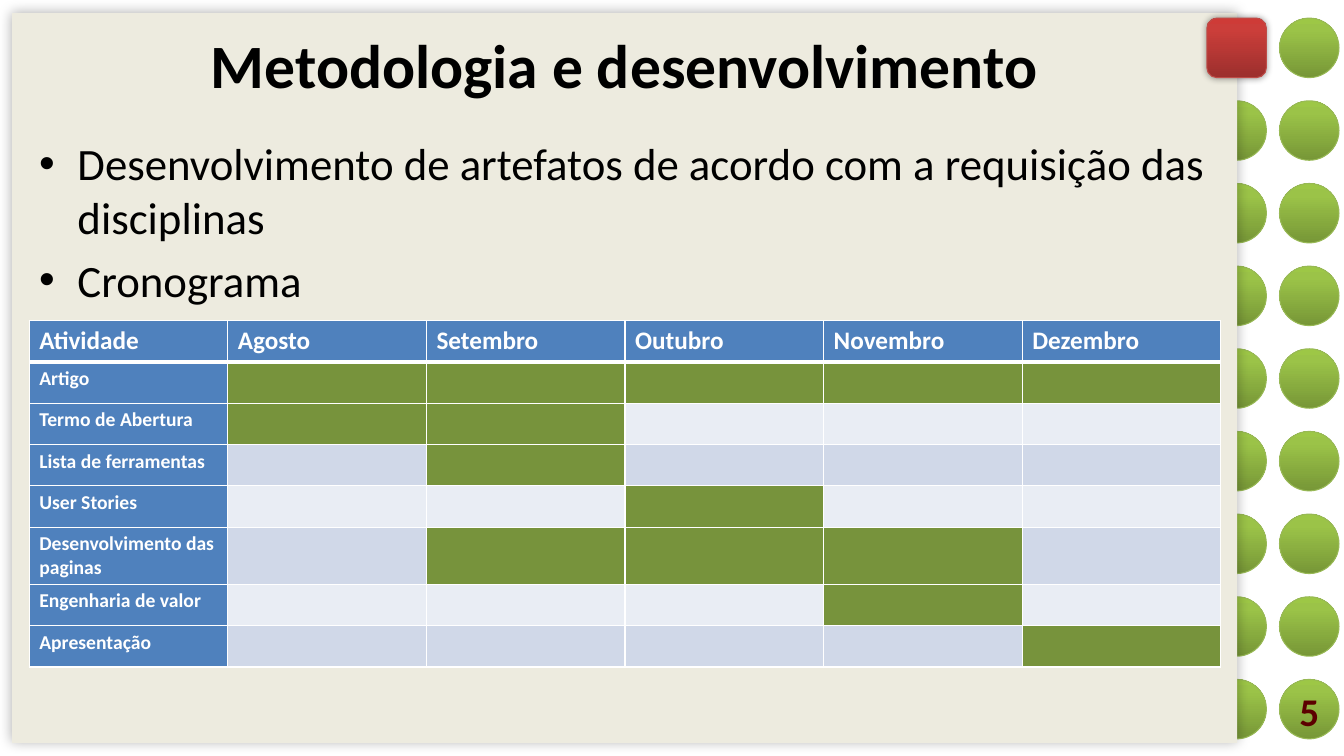
"""Build the methodology slide with its activity schedule."""
from dataclasses import dataclass
from itertools import product
from typing import Optional

from lxml.etree import SubElement
from pptx import Presentation
from pptx.dml.color import RGBColor
from pptx.enum.shapes import MSO_SHAPE as Preset
from pptx.enum.text import MSO_ANCHOR as Anchor, PP_ALIGN as Align
from pptx.oxml.ns import qn
from pptx.util import Emu, Pt

PX = 9144


@dataclass(frozen=True)
class Theme:
    font: str = "Calibri"
    black: str = "000000"
    white: str = "FFFFFF"
    panel: str = "EDEBDF"
    number: str = "5C0000"
    header: str = "4F81BD"
    active: str = "77933C"
    bands: tuple[str, str] = ("D0D8E8", "E9EDF4")
    green: tuple[str, str, str] = ("779737", "9BC348", "9DC746")
    green_line: str = "98B955"
    red: tuple[str, str, str] = ("9C2F2D", "CB3E3A", "CE3B37")
    red_line: str = "BF4C48"
    title_size: int = 44
    body_size: int = 32
    number_size: int = 28
    head_size: int = 18
    label_size: int = 14


@dataclass(frozen=True)
class Box:
    left: int
    top: int
    width: int
    height: int

    def emu(self) -> tuple[Emu, ...]:
        return tuple(Emu(n * PX) for n in (self.left, self.top, self.width, self.height))


@dataclass(frozen=True)
class Shadow:
    alpha: int
    blur: int


@dataclass(frozen=True)
class Ornament:
    preset: Preset
    box: Box
    colors: tuple[str, ...]
    line: Optional[str] = None
    shadow: Optional[Shadow] = None


@dataclass(frozen=True)
class Label:
    box: Box
    lines: tuple[str, ...]
    size: int
    color: str
    bold: bool = False
    align: Align = Align.LEFT
    anchor: Anchor = Anchor.TOP
    bullet: bool = False


@dataclass(frozen=True)
class Activity:
    name: str
    first: int
    last: int


T = Theme()
DOT, DOT_TOP, DOT_STEP, DOT_ROWS = 59, 18, 82, 9
DOT_LEFTS = (1269, 1197)
PANEL = Box(12, 13, 1215, 724)
DOTS = [
    Ornament(Preset.OVAL, Box(left, DOT_TOP + row * DOT_STEP, DOT, DOT), T.green, T.green_line)
    for row, left in product(range(DOT_ROWS), DOT_LEFTS)
    if (row, left) != (0, DOT_LEFTS[1])
]
ORNAMENTS = DOTS + [
    Ornament(Preset.RECTANGLE, PANEL, (T.panel,), shadow=Shadow(31, 9)),
    Ornament(Preset.ROUNDED_RECTANGLE, Box(DOT_LEFTS[1], DOT_TOP, DOT, DOT), T.red, T.red_line,
             Shadow(40, 5)),
]
LABELS = (
    Label(Box(12, 13, 1215, 101), ("Metodologia e desenvolvimento",), T.title_size, T.black,
          True, Align.CENTER, Anchor.MIDDLE),
    Label(Box(29, 130, 1182, 545),
          ("Desenvolvimento de artefatos de acordo com a requisição das disciplinas", "Cronograma"),
          T.body_size, T.black, bullet=True),
    Label(Box(DOT_LEFTS[0], 676, DOT, DOT), ("5",), T.number_size, T.number,
          True, Align.CENTER, Anchor.MIDDLE),
)
SCHEDULE = Box(29, 318, 1182, 328)
HEADINGS = ("Atividade", "Agosto", "Setembro", "Outubro", "Novembro", "Dezembro")
ACTIVITIES = (
    Activity("Artigo", 1, 5),
    Activity("Termo de Abertura", 1, 2),
    Activity("Lista de ferramentas", 2, 2),
    Activity("User Stories", 3, 3),
    Activity("Desenvolvimento das paginas", 2, 4),
    Activity("Engenharia de valor", 4, 4),
    Activity("Apresentação", 5, 5),
)


def rgb(color: str) -> RGBColor:
    return RGBColor.from_string(color)


def add_run(p, text: str, size: int, color: str, bold: bool) -> None:
    r = p.add_run()
    r.text = text
    r.font.name, r.font.size, r.font.bold = T.font, Pt(size), bold
    r.font.color.rgb = rgb(color)


def fill_gradient(sp, colors: tuple[str, ...]) -> None:
    sp.fill.gradient()
    sp.fill.gradient_angle = 90
    stops = sp.element.spPr.find(qn("a:gradFill")).find(qn("a:gsLst"))
    for stop in list(stops):
        stops.remove(stop)
    for percent, color in zip((0, 80, 100), colors):
        stop = SubElement(stops, qn("a:gs"), pos=str(percent * 1000))
        SubElement(stop, qn("a:srgbClr"), val=color)


def add_ornament(slide, item: Ornament) -> None:
    sp = slide.shapes.add_shape(item.preset, *item.box.emu())
    if len(item.colors) > 1:
        fill_gradient(sp, item.colors)
    else:
        sp.fill.solid()
        sp.fill.fore_color.rgb = rgb(item.colors[0])
    if item.line:
        sp.line.color.rgb, sp.line.width = rgb(item.line), Pt(0.75)
    else:
        sp.line.fill.background()
    sp.shadow.inherit = False
    if item.shadow:
        effects = sp.element.spPr.find(qn("a:effectLst"))
        outer = SubElement(effects, qn("a:outerShdw"), blurRad=str(Pt(item.shadow.blur)),
                           dist="0", dir="0", algn="ctr", rotWithShape="0")
        color = SubElement(outer, qn("a:srgbClr"), val=T.black)
        SubElement(color, qn("a:alpha"), val=str(item.shadow.alpha * 1000))


def add_label(slide, label: Label) -> None:
    tf = slide.shapes.add_textbox(*label.box.emu()).text_frame
    tf.word_wrap, tf.vertical_anchor = True, label.anchor
    for i, line in enumerate(label.lines):
        p = tf.add_paragraph() if i else tf.paragraphs[0]
        p.alignment = label.align
        if label.bullet:
            p.space_before = Pt(label.size * 0.2)
            pPr = p._p.get_or_add_pPr()
            pPr.set("marL", str(38 * PX))
            pPr.set("indent", str(-38 * PX))
            SubElement(pPr, qn("a:buFont"), typeface="Arial")
            SubElement(pPr, qn("a:buChar"), char="•")
        add_run(p, line, label.size, label.color, label.bold)


def style_cell(cell, fill: str, bottom: int = 1) -> None:
    tcPr = cell._tc.get_or_add_tcPr()
    for side, width in (("L", 1), ("R", 1), ("T", 1), ("B", bottom)):
        ln = SubElement(tcPr, qn(f"a:ln{side}"), w=str(Pt(width)))
        SubElement(SubElement(ln, qn("a:solidFill")), qn("a:srgbClr"), val=T.white)
    cell.fill.solid()
    cell.fill.fore_color.rgb = rgb(fill)


def add_schedule(slide) -> None:
    rows, cols = len(ACTIVITIES) + 1, len(HEADINGS)
    table = slide.shapes.add_table(rows, cols, *SCHEDULE.emu()).table
    for col, heading in enumerate(HEADINGS):
        cell = table.cell(0, col)
        style_cell(cell, T.header, bottom=3)
        add_run(cell.text_frame.paragraphs[0], heading, T.head_size, T.white, True)
    for row, activity in enumerate(ACTIVITIES, 1):
        name = table.cell(row, 0)
        style_cell(name, T.header)
        add_run(name.text_frame.paragraphs[0], activity.name, T.label_size, T.white, True)
        for col in range(1, cols):
            busy = activity.first <= col <= activity.last
            style_cell(table.cell(row, col), T.active if busy else T.bands[(row - 1) % 2])


def main() -> None:
    prs = Presentation()
    prs.slide_width, prs.slide_height = Emu(1333 * PX), Emu(750 * PX)
    slide = prs.slides.add_slide(prs.slide_layouts[6])
    for item in ORNAMENTS:
        add_ornament(slide, item)
    for label in LABELS:
        add_label(slide, label)
    add_schedule(slide)
    prs.save("out.pptx")


if __name__ == "__main__":
    main()
